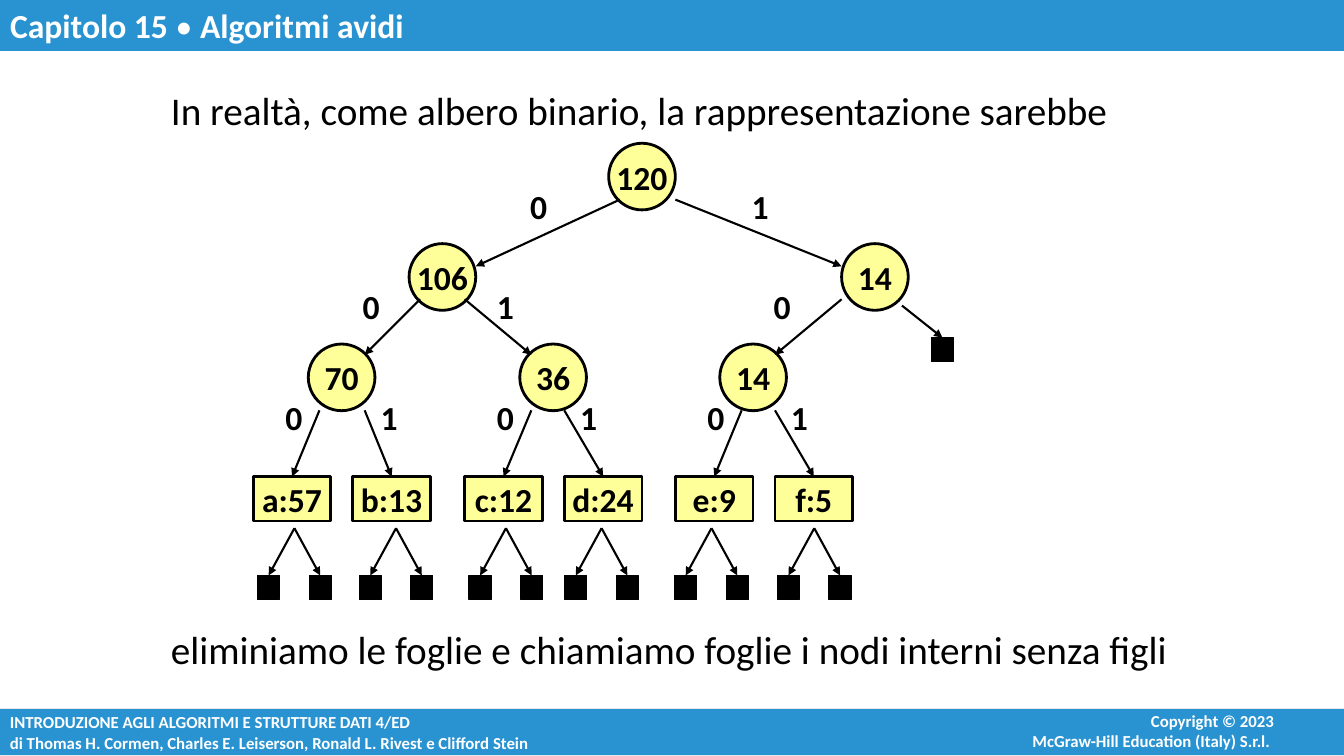
"""Build the slide that shows a Huffman tree as a full binary tree."""
from dataclasses import dataclass

from lxml.etree import SubElement
from pptx import Presentation
from pptx.dml.color import RGBColor
from pptx.enum.shapes import MSO_CONNECTOR, MSO_SHAPE
from pptx.enum.text import MSO_ANCHOR as Anchor, MSO_AUTO_SIZE, PP_ALIGN as Align
from pptx.oxml.ns import qn
from pptx.util import Cm, Pt


@dataclass(frozen=True)
class Theme:
    font: str = "Calibri"
    blue: RGBColor = RGBColor(0x29, 0x93, 0xD1)
    grey: RGBColor = RGBColor(0xE7, 0xE6, 0xE6)
    yellow: RGBColor = RGBColor(0xFF, 0xFF, 0x99)
    black: RGBColor = RGBColor(0, 0, 0)
    white: RGBColor = RGBColor(0xFF, 0xFF, 0xFF)
    small: Pt = Pt(12)
    medium: Pt = Pt(24)
    large: Pt = Pt(28)
    thin: Pt = Pt(0.75)
    arrow: Pt = Pt(1.5)
    thick: Pt = Pt(2)


theme = Theme()


def write(box, text, size=theme.medium, color=theme.black, bold=True,
          align=Align.LEFT, anchor=Anchor.MIDDLE, wrap=True):
    """Append text to the box, one paragraph for each line."""
    frame = box.text_frame
    frame.auto_size = MSO_AUTO_SIZE.NONE
    frame.word_wrap = wrap
    frame.vertical_anchor = anchor
    for index, line in enumerate(text.split("\n")):
        para = frame.add_paragraph() if index else frame.paragraphs[-1]
        para.alignment = align
        span = para.add_run()
        span.text = line
        span.font.name = theme.font
        span.font.size = size
        span.font.bold = bold
        span.font.color.rgb = color


def draw(shapes, kind, left, top, width, height, fill, line, weight):
    """Add a filled and outlined preset shape, measured in centimetres."""
    shape = shapes.add_shape(kind, Cm(left), Cm(top), Cm(width), Cm(height))
    shape.shadow.inherit = False
    shape.fill.solid()
    shape.fill.fore_color.rgb = fill
    shape.line.color.rgb = line
    shape.line.width = weight
    return shape


deck = Presentation()
deck.slide_width, deck.slide_height = Cm(33.87), Cm(19.05)
page = deck.slides.add_slide(deck.slide_layouts[5])

title = page.shapes.title
title.left, title.top, title.width, title.height = Cm(0), Cm(0), Cm(33.9), Cm(1.27)
title.fill.solid()
title.fill.fore_color.rgb = theme.blue
title.line.color.rgb = theme.blue
title.line.width = theme.thin
for text, bold in (("Capitolo 15 ", True), ("•", False), (" Algoritmi avidi", True)):
    write(title, text, color=theme.white, bold=bold, anchor=Anchor.TOP)

footer = draw(page.shapes, MSO_SHAPE.RECTANGLE, 0, 17.86, 33.9, 1.19,
              theme.blue, theme.grey, theme.thin)
write(footer, "INTRODUZIONE AGLI ALGORITMI E STRUTTURE DATI 4/ED\n"
      "di Thomas H. Cormen, Charles E. Leiserson, Ronald L. Rivest e Clifford Stein",
      size=theme.small, color=theme.white)
rights = page.shapes.add_textbox(Cm(22.58), Cm(17.78), Cm(9.78), Cm(1.27))
write(rights, "Copyright © 2023\nMcGraw-Hill Education (Italy) S.r.l. ",
      size=theme.small, color=theme.white, align=Align.RIGHT, anchor=Anchor.TOP)

sentences = (
    ("In realtà, come albero binario, la rappresentazione sarebbe",
     1.32, 25.32, 2.9, Anchor.MIDDLE),
    ("eliminiamo le foglie e chiamiamo foglie i nodi interni senza figli",
     15.62, 26.11, 1.45, Anchor.TOP),
)
for text, top, width, height, anchor in sentences:
    sentence = page.shapes.add_textbox(Cm(4.06), Cm(top), Cm(width), Cm(height))
    write(sentence, text, size=theme.large, bold=False, anchor=anchor)

levels = (
    (("120", 15.34),),
    (("106", 10.31), ("14", 21.21)),
    (("70", 7.77), ("36", 13.1), ("14", 18.14)),
)
for depth, nodes in enumerate(levels):
    for text, left in nodes:
        node = draw(page.shapes, MSO_SHAPE.OVAL, left, 3.61 + 2.53 * depth, 1.68, 1.68,
                    theme.yellow, theme.black, theme.thick)
        write(node, text, align=Align.CENTER, wrap=False)

arrows = [
    (page.shapes, (15.62, 5.03), (11.99, 6.71), None),
    (page.shapes, (17.02, 5.03), (21.21, 6.71), None),
    (page.shapes, (10.59, 7.54), (9.19, 8.94), None),
    (page.shapes, (11.71, 7.54), (13.39, 8.94), None),
    (page.shapes, (21.21, 7.54), (19.53, 8.94), None),
]
labels = [("0", 13.11, 4.47), ("1", 18.69, 4.47),
          ("0", 8.89, 6.99), ("1", 12.27, 6.99), ("0", 19.25, 6.99)]

square_style = (0.56, 0.61, theme.black, theme.black, theme.thin)
square = draw(page.shapes, MSO_SHAPE.RECTANGLE, 23.47, 8.51, *square_style)
arrows.append((page.shapes, (22.73, 7.7), (23.75, 8.51), square))

pairs = (
    (6.38, (8.05, 9.19), (("a:57", 7.42), ("b:13", 9.98))),
    (11.71, (13.39, 14.22), (("c:12", 12.75), ("d:24", 15.16))),
    (17.02, (18.69, 19.53), (("e:9", 17.93), ("f:5", 20.52))),
)
for pair_left, starts, leaves in pairs:
    labels += [("0", pair_left + 0.56, 9.78), ("1", starts[1] + 0.15, 9.78)]
    for side, (start, (text, apex)) in enumerate(zip(starts, leaves)):
        leaf = draw(page.shapes, MSO_SHAPE.RECTANGLE, pair_left + 2.51 * side, 12.01,
                    1.96, 1.12, theme.yellow, theme.black, theme.thick)
        write(leaf, text, align=Align.CENTER, wrap=False)
        arrows.append((page.shapes, (start, 10.34), (start, 12.01), leaf))
        children = page.shapes.add_group_shape().shapes
        for offset in (-0.93, 0.37):
            square = draw(children, MSO_SHAPE.RECTANGLE, apex + offset, 14.5, *square_style)
            arrows.append((children, (apex, 13.31), (apex, 14.5), square))

for shapes, start, end, target in arrows:
    arrow = shapes.add_connector(MSO_CONNECTOR.STRAIGHT, *map(Cm, start + end))
    if target:
        arrow.end_connect(target, 0)
    arrow.line.color.rgb = theme.black
    arrow.line.width = theme.arrow
    SubElement(arrow.line._get_or_add_ln(), qn("a:tailEnd"), type="triangle")
    SubElement(arrow._element.spPr, qn("a:effectLst"))

for text, left, top in labels:
    label = page.shapes.add_textbox(Cm(left), Cm(top), Cm(1.02), Cm(1.45))
    write(label, text, wrap=False)

deck.save("out.pptx")
